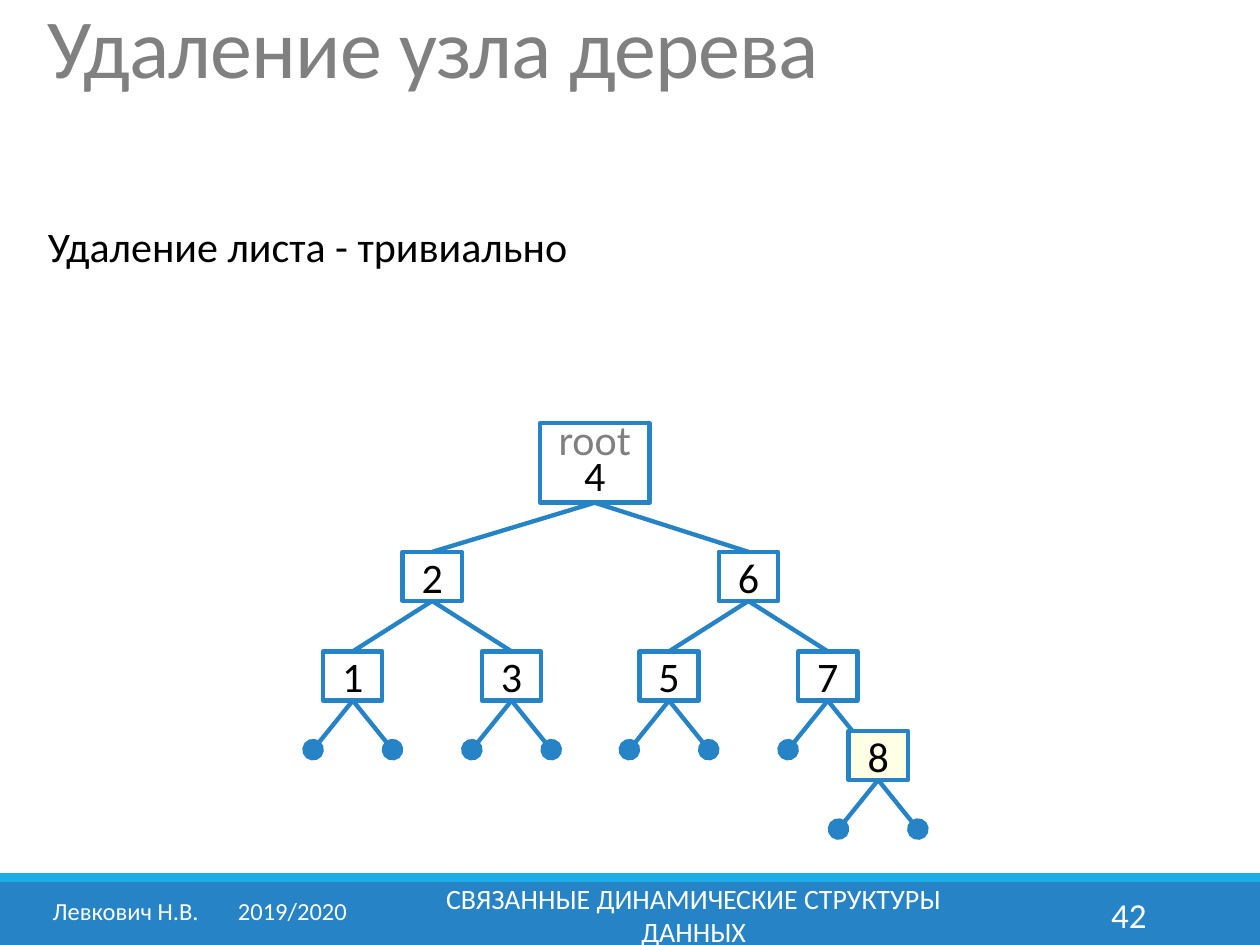
from lxml import etree
from pptx import Presentation
from pptx import util as u
from pptx.dml.color import RGBColor
from pptx.enum import shapes, text
from pptx.oxml.ns import qn

BLUE, SKY, GREY, BLACK, WHITE, CREAM = "2683C6", "1CADE4", "808080", "000000", "FFFFFF", "FFFFE5"
LEFT, CENTER, RIGHT = text.PP_ALIGN.LEFT, text.PP_ALIGN.CENTER, text.PP_ALIGN.RIGHT
TOP, MIDDLE = text.MSO_ANCHOR.TOP, text.MSO_ANCHOR.MIDDLE
NODE_W, NODE_H = 0.47, 0.39
LEVEL, LEAF_DX = 0.79, 0.315


def paint(fmt, color):
    fmt.solid()
    fmt.fore_color.rgb = RGBColor.from_string(color)


def inches(*values):
    return [u.Inches(v) for v in values]


def write(p, content, size, color, align=LEFT, spacing=None):
    p.alignment = align
    p.line_spacing = spacing
    r = p.add_run()
    r.text = content
    r.font.name = "Calibri"
    r.font.size = u.Pt(size)
    r.font.color.rgb = RGBColor.from_string(color)
    return r


def frame(sp, anchor):
    tf = sp.text_frame
    tf.word_wrap = True
    tf.auto_size = text.MSO_AUTO_SIZE.NONE
    tf.vertical_anchor = anchor
    return tf


def rect(s, box, fill=None, line=None):
    sp = s.shapes.add_shape(shapes.MSO_SHAPE.RECTANGLE, *inches(*box))
    sp.shadow.inherit = False
    if fill:
        paint(sp.fill, fill)
    else:
        sp.fill.background()
    if line:
        paint(sp.line.fill, line)
        sp.line.width = u.Pt(2.5)
    else:
        sp.line.fill.background()
    return sp


def edge(s, start, end, leaf=False):
    cx = s.shapes.add_connector(shapes.MSO_CONNECTOR.STRAIGHT, *inches(*start, *end))
    paint(cx.line.fill, BLUE)
    cx.line.width = u.Pt(2.5)
    if leaf:
        etree.SubElement(cx.line._get_or_add_ln(), qn("a:tailEnd"), type="oval", w="lg", len="lg")
    etree.SubElement(cx._element.spPr, qn("a:effectLst"))


def node(s, label, x, y, fill=None):
    sp = rect(s, (x - NODE_W / 2, y, NODE_W, NODE_H), fill, BLUE)
    write(frame(sp, MIDDLE).paragraphs[0], label, 24, BLACK, CENTER)


def leaves(s, x, y):
    for dx in (-LEAF_DX, LEAF_DX):
        edge(s, (x, y), (x + dx, y + NODE_H), leaf=True)


def root_node(s, x, y, w, h):
    tf = frame(rect(s, (x - w / 2, y, w, h), line=BLUE), MIDDLE)
    tf.margin_top = tf.margin_bottom = u.Inches(0.04)
    write(tf.paragraphs[0], "root", 24, GREY, CENTER, 0.7)
    write(tf.add_paragraph(), "4", 24, BLACK, CENTER, 0.7)


def tree(s, left, top):
    root_x, root_h = left + 2.24, 0.63
    parent_y = top + 1.02
    child_y = parent_y + LEVEL
    root_node(s, root_x, top, 0.87, root_h)
    for parent, children, dx in (("2", "13", 0.95), ("6", "57", 3.46)):
        x = left + dx
        edge(s, (root_x, top + root_h), (x, parent_y))
        node(s, parent, x, parent_y)
        for child, side in zip(children, (-1, 1)):
            child_x = x + side * 2 * LEAF_DX
            edge(s, (x, parent_y + NODE_H), (child_x, child_y))
            node(s, child, child_x, child_y)
            leaves(s, child_x, child_y + NODE_H)
    last_x, last_y = left + 4.49, child_y + 0.63
    node(s, "8", last_x, last_y, CREAM)
    leaves(s, last_x, last_y + NODE_H)


def headings(s, left, width):
    title, body = s.shapes.title, s.placeholders[1]
    for sp, top, height in ((title, 0.03, 0.81), (body, 1.7, 0.5)):
        sp.left, sp.top, sp.width, sp.height = inches(left, top, width, height)
    r = write(frame(title, TOP).paragraphs[0], "Удаление узла дерева", 48, GREY, spacing=0.85)
    r.font._element.set("spc", "-50")
    p = frame(body, TOP).paragraphs[0]
    pPr = p._p.get_or_add_pPr()
    pPr.set("marL", "0")
    pPr.set("indent", "0")
    etree.SubElement(pPr, qn("a:buNone"))
    p.space_before = u.Pt(0)
    write(p, "Удаление листа - тривиально", 24, BLACK)


def footer(s, top, width):
    rect(s, (0, top, width, 0.5), BLUE)
    rect(s, (0, top - 0.07, width, 0.07), SKY)
    for content, left, w, size, align, anchor in (
        ("Левкович Н.В. \t2019/2020", 0.32, 2.61, 14, LEFT, TOP),
        ("СВЯЗАННЫЕ ДИНАМИЧЕСКИЕ СТРУКТУРЫ ДАННЫХ", 3.02, 4.97, 16, CENTER, MIDDLE),
        ("42", 8.12, 1.08, 20, RIGHT, MIDDLE),
    ):
        sp = s.shapes.add_textbox(*inches(left, top + 0.06, w, 0.4))
        p = frame(sp, anchor).paragraphs[0]
        if "\t" in content:
            tabs = etree.SubElement(p._p.get_or_add_pPr(), qn("a:tabLst"))
            etree.SubElement(tabs, qn("a:tab"), pos=str(u.Inches(1.47)), algn="l")
        write(p, content, size, WHITE, align)


def main():
    prs = Presentation()
    prs.slide_width, prs.slide_height = inches(10, 7.5)
    s = prs.slides.add_slide(prs.slide_layouts[1])
    paint(s.background.fill, WHITE)
    footer(s, 7, 10)
    headings(s, 0.28, 9.45)
    tree(s, 2.48, 3.36)
    prs.save("out.pptx")


if __name__ == "__main__":
    main()
